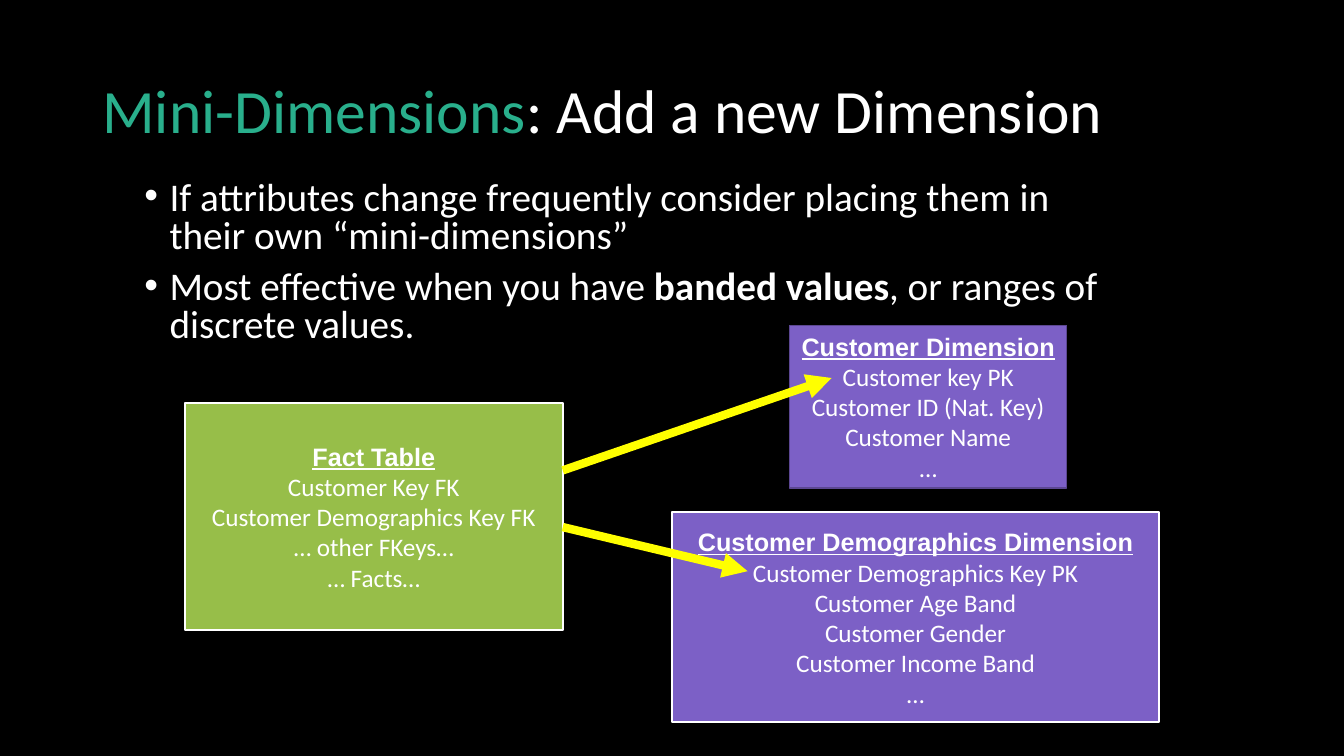
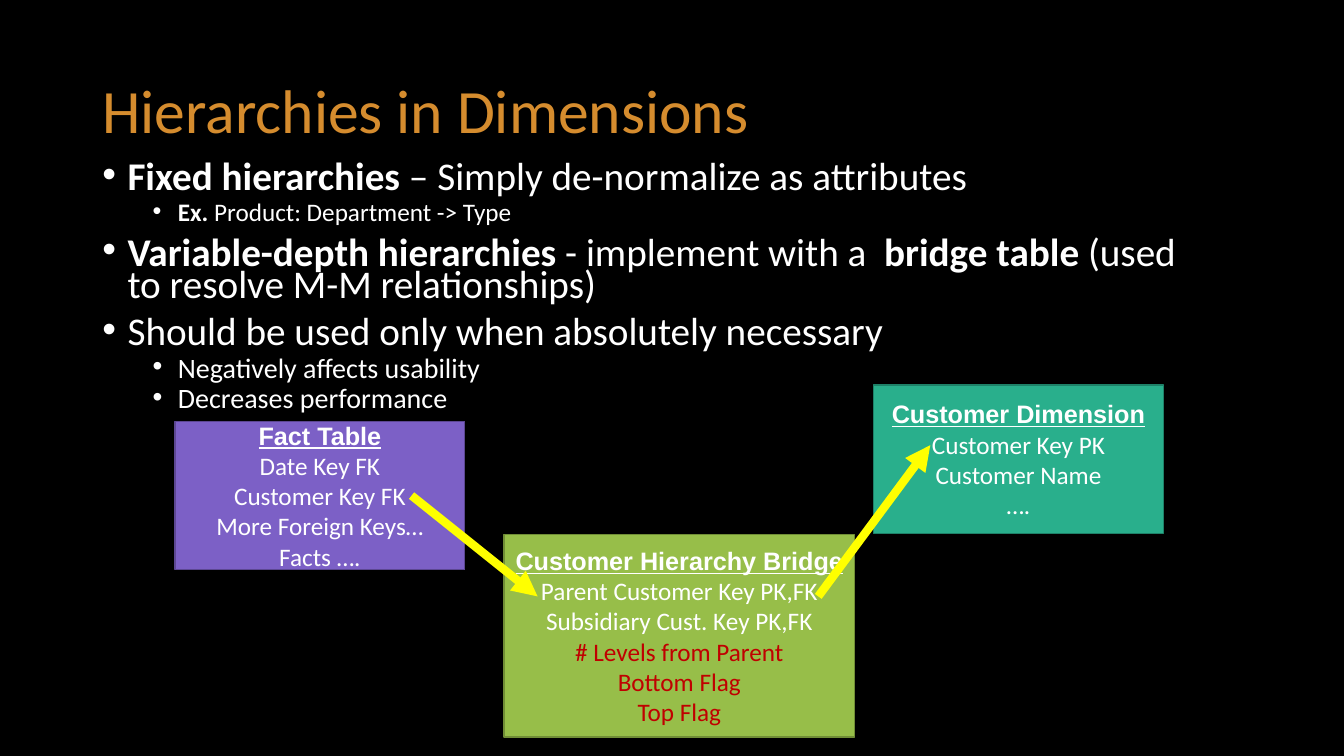
"""Build two slides on mini-dimensions and hierarchies in dimension tables."""
from lxml.etree import SubElement
from pptx import Presentation
from pptx.dml.color import RGBColor
from pptx.enum.shapes import MSO_CONNECTOR, MSO_SHAPE
from pptx.enum.text import MSO_ANCHOR, PP_ALIGN
from pptx.oxml.ns import qn
from pptx.util import Pt

BLACK, WHITE, YELLOW, RED = "000000", "FFFFFF", "FFFF00", "C00000"
TEAL, ORANGE, GREEN, PURPLE = "29AF8C", "D58C2E", "97BE49", "7C60C6"
EDGES = {TEAL: "1E8168", GREEN: "708D36", PURPLE: "5C4792"}
SANS, HEAD = "Calibri", "Arial"


def color(code):
    return RGBColor.from_string(code)


def style(font, size, code=WHITE, name=SANS):
    font.size = Pt(size)
    font.name = name
    font.color.rgb = color(code)


def add_frame(slide, area):
    frame = slide.shapes.add_textbox(*map(Pt, area)).text_frame
    frame.word_wrap = True
    return frame


def next_line(frame, index):
    return frame.add_paragraph() if index else frame.paragraphs[0]


def add_title(slide, accent, code, rest=""):
    frame = add_frame(slide, (66, 28.8, 828, 104.4))
    frame.vertical_anchor = MSO_ANCHOR.MIDDLE
    line = frame.paragraphs[0]
    line.line_spacing = 0.9
    style(line.font, 44)
    line.add_run().text = accent
    line.runs[0].font.color.rgb = color(code)
    if rest:
        line.add_run().text = rest


def add_bullets(slide, area, spacing, items):
    """Write (level, size, text) items; text between asterisks is bold."""
    frame = add_frame(slide, area)
    for index, (level, size, text) in enumerate(items):
        line = next_line(frame, index)
        line.level = level
        line.line_spacing = spacing
        line.space_before = Pt((5 if level else 10) if index else 0)
        props = line._p.get_or_add_pPr()
        props.set("marL", str(Pt(18 + 36 * level)))
        props.set("indent", str(Pt(-18)))
        SubElement(props, qn("a:buFont"), typeface=HEAD)
        SubElement(props, qn("a:buChar"), char="•")
        style(line.font, size)
        for part, words in enumerate(text.split("*")):
            if words:
                run = line.add_run()
                run.text = words
                if part % 2:
                    run.font.bold = True


def add_table_box(slide, area, fill, name, fields, flags=(), edge=None):
    """Draw a data table as a box: underlined name, fields, then red flags."""
    box = slide.shapes.add_shape(MSO_SHAPE.RECTANGLE, *map(Pt, area))
    box.shadow.inherit = False
    box.fill.solid()
    box.fill.fore_color.rgb = color(fill)
    box.line.color.rgb = color(edge or EDGES[fill])
    box.line.width = Pt(1.5 if edge else 1)
    frame = box.text_frame
    frame.word_wrap = False
    frame.vertical_anchor = MSO_ANCHOR.MIDDLE
    for index, text in enumerate([name, *fields, *flags]):
        line = next_line(frame, index)
        line.text = text
        line.alignment = PP_ALIGN.CENTER
        style(line.font, 18, RED if text in flags else WHITE, SANS if index else HEAD)
        if not index:
            line.font.bold = line.font.underline = True


def add_arrow(slide, *ends):
    arrow = slide.shapes.add_connector(MSO_CONNECTOR.STRAIGHT, *map(Pt, ends))
    arrow.line.color.rgb = color(YELLOW)
    arrow.line.width = Pt(6)
    SubElement(arrow.line._get_or_add_ln(), qn("a:tailEnd"), type="triangle")
    SubElement(arrow._element.spPr, qn("a:effectLst"))


def draw_mini(slide):
    add_title(slide, "Mini-Dimensions", TEAL, ": Add a new Dimension")
    add_bullets(slide, (96, 126, 708, 138), 0.8, [
        (0, 28, "If attributes change frequently consider placing them in "
                "their own “mini-dimensions”"),
        (0, 28, "Most effective when you have *banded values*, or ranges of "
                "discrete values."),
    ])
    add_table_box(slide, (132, 288, 270, 162), GREEN, "Fact Table",
                  ["Customer Key FK", "Customer Demographics Key FK",
                   "… other FKeys…", "… Facts…"], edge=WHITE)
    add_table_box(slide, (564, 232.5, 198, 116), PURPLE, "Customer Dimension",
                  ["Customer key PK", "Customer ID (Nat. Key)", "Customer Name", "…"])
    add_table_box(slide, (480, 366, 348, 150), PURPLE,
                  "Customer Demographics Dimension",
                  ["Customer Demographics Key PK", "Customer Age Band",
                   "Customer Gender", "Customer Income Band", "…"], edge=WHITE)
    add_arrow(slide, 402, 336, 594, 270)
    add_arrow(slide, 402, 376.5, 534, 408)


def draw_levels(slide):
    add_title(slide, "Hierarchies in Dimensions", ORANGE)
    add_bullets(slide, (66, 114, 804, 198), 0.7, [
        (0, 28, "*Fixed hierarchies *– Simply de-normalize as attributes"),
        (1, 18, "*Ex.* Product: Department -> Type"),
        (0, 28, "*Variable-depth hierarchies *- implement with a  *bridge table* "
                "(used to resolve M-M relationships)"),
        (0, 28, "Should be used only when absolutely necessary"),
        (1, 20, "Negatively affects usability"),
        (1, 20, "Decreases performance"),
    ])
    add_table_box(slide, (624, 275, 207, 106), TEAL, "Customer Dimension",
                  ["Customer Key PK", "Customer Name", "…."])
    add_table_box(slide, (125, 301, 207, 106), PURPLE, "Fact Table",
                  ["Date Key FK", "Customer Key FK", "More Foreign Keys…", "Facts …."])
    add_table_box(slide, (360, 382, 250.5, 144.5), GREEN, "Customer Hierarchy Bridge",
                  ["Parent Customer Key PK,FK", "Subsidiary Cust. Key PK,FK"],
                  ["# Levels from Parent", "Bottom Flag", "Top Flag"])
    add_arrow(slide, 294, 354, 384, 426)
    add_arrow(slide, 584.5, 426, 664.5, 318)


def main():
    deck = Presentation()
    deck.slide_width, deck.slide_height = Pt(960), Pt(540)
    ground = deck.slide_master.background.fill
    ground.solid()
    ground.fore_color.rgb = color(BLACK)
    for draw in (draw_mini, draw_levels):
        draw(deck.slides.add_slide(deck.slide_layouts[6]))
    deck.save("out.pptx")


if __name__ == "__main__":
    main()
